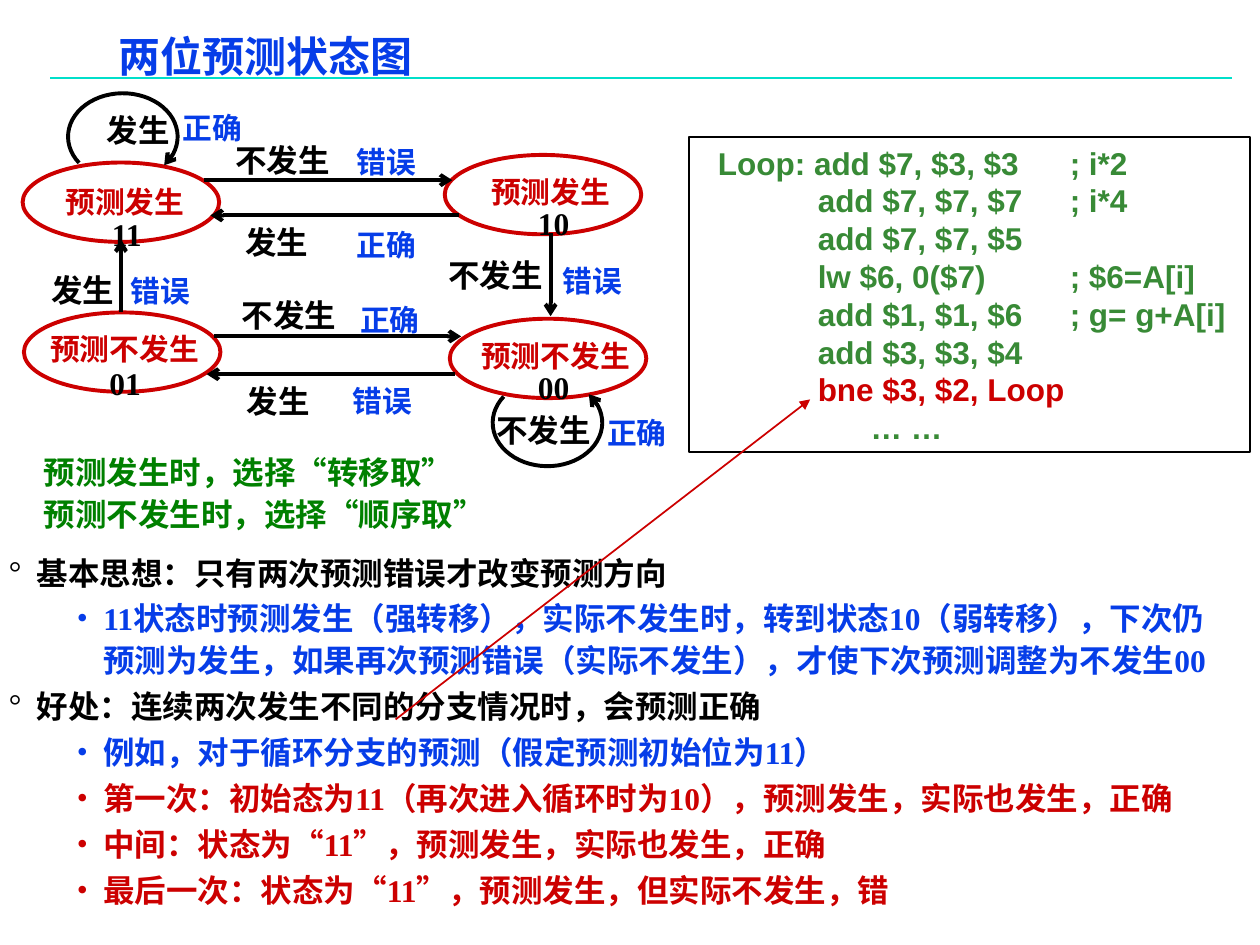
import math
from dataclasses import dataclass

from lxml import etree
from pptx import Presentation
from pptx import util as u
from pptx.dml.color import RGBColor
from pptx.enum import shapes, text
from pptx.oxml.ns import qn

# Grid of 100 columns by 75 rows; every place below is (column, row)
COLUMNS, ROWS = 100, 75
CELL = u.Inches(0.1)
COLORS = {"black": "000000", "blue": "063DE8", "red": "CC0000", "green": "008000",
          "code": "388A36", "rule": "00DFCA"}
SERIF, SANS, CJK = "Times New Roman", "Arial", "Noto Sans CJK SC"
STATE_W, STATE_H = 15.6, 6.3


@dataclass
class State:
    col: float
    row: float
    prediction: str
    name_at: tuple[float, float]
    bits: str
    bits_at: tuple[float, float]


@dataclass
class Transition:
    start: tuple[float, float]
    end: tuple[float, float]
    outcome: str
    outcome_at: tuple[float, float]
    verdict: str
    verdict_at: tuple[float, float]


@dataclass
class SelfLoop:
    center: tuple[float, float]
    side: int  # 1 opens downwards, -1 opens upwards
    outcome: str
    outcome_at: tuple[float, float]
    verdict: str
    verdict_at: tuple[float, float]


@dataclass
class Line:
    words: str
    color: str
    level: int = 0
    tabs: tuple[float, ...] = ()


STATES = [
    State(1.8, 12.9, "预测发生", (4.2, 13.9), "11", (7.9, 16.4)),
    State(35.3, 12.3, "预测发生", (38, 13.1), "10", (41.7, 15.5)),
    State(1.9, 24.8, "预测不发生", (3, 25.6), "01", (7.7, 28.2)),
    State(35.7, 25.3, "预测不发生", (37.2, 26.1), "00", (41.7, 28.5)),
]
TRANSITIONS = [
    Transition((16.2, 14.3), (35.9, 14.3), "不发生", (17.7, 10.5), "错误", (27.3, 10.7)),
    Transition((36.4, 17.1), (16.7, 17.1), "发生", (18.5, 17), "正确", (27.3, 17.3)),
    Transition((9.6, 24.8), (9.6, 19), "发生", (3.1, 20.8), "错误", (9.4, 21)),
    Transition((43.7, 18.5), (43.7, 25.1), "不发生", (34.6, 19.6), "错误", (43.7, 20.2)),
    Transition((17, 26.7), (36.6, 26.7), "不发生", (18.2, 22.8), "正确", (27.6, 23.3)),
    Transition((36.1, 29.7), (16.4, 29.7), "发生", (18.6, 29.6), "错误", (27, 29.7)),
]
LOOPS = [
    SelfLoop((9.75, 10.85), 1, "发生", (7.5, 8.1), "正确", (13.5, 8)),
    SelfLoop((43.45, 33.55), -1, "不发生", (38.4, 31.9), "正确", (47.2, 32.2)),
]
RULES = [Line("预测发生时，选择“转移取”", "green"), Line("预测不发生时，选择“顺序取”", "green")]
CODE_TABS = (10, 30)
CODE = [
    Line("   Loop: add $7, $3, $3\t; i*2", "code", tabs=CODE_TABS[1:]),
    Line("\tadd $7, $7, $7\t; i*4", "code", tabs=CODE_TABS),
    Line("\tadd $7, $7, $5", "code", tabs=CODE_TABS),
    Line("\tlw $6, 0($7)\t; $6=A[i]", "code", tabs=CODE_TABS),
    Line("\tadd $1, $1, $6\t; g= g+A[i]", "code", tabs=CODE_TABS),
    Line("\tadd $3, $3, $4", "code", tabs=CODE_TABS),
    Line("\tbne $3, $2, Loop", "red", tabs=CODE_TABS),
    Line("\t… …", "code", tabs=(14.2,)),
]
NOTES = [
    Line("基本思想：只有两次预测错误才改变预测方向", "black"),
    Line("11状态时预测发生（强转移），实际不发生时，转到状态10（弱转移），下次仍预测为发生，"
         "如果再次预测错误（实际不发生），才使下次预测调整为不发生00", "blue", 1),
    Line("好处：连续两次发生不同的分支情况时，会预测正确", "black"),
    Line("例如，对于循环分支的预测（假定预测初始位为11）", "blue", 1),
    Line("第一次：初始态为11（再次进入循环时为10），预测发生，实际也发生，正确", "red", 1),
    Line("中间：状态为“11”，预测发生，实际也发生，正确", "red", 1),
    Line("最后一次：状态为“11”，预测发生，但实际不发生，错", "red", 1),
]
BULLETS = [("°", 2.2, -2.2), ("•", 7.5, -2.1)]  # sign, margin, indent by level


def cells(*counts: float) -> list[int]:
    return [round(n * CELL) for n in counts]


def rgb(color: str) -> RGBColor:
    return RGBColor.from_string(COLORS[color])


def add_bullet(p_pr, line: Line) -> None:
    sign, margin, indent = BULLETS[line.level]
    p_pr.set("marL", str(cells(margin)[0]))
    p_pr.set("indent", str(cells(indent)[0]))
    bullet_color = etree.SubElement(p_pr, qn("a:buClr"))
    etree.SubElement(bullet_color, qn("a:srgbClr"), val=COLORS[line.color])
    etree.SubElement(p_pr, qn("a:buFont"), typeface=SERIF)
    etree.SubElement(p_pr, qn("a:buChar"), char=sign)


def write(frame, lines: list[Line], *, size=18, font=SERIF, spacing=23, before=0,
          inset=(1, 0.5), bulleted=False) -> None:
    frame.word_wrap = True
    frame.vertical_anchor = text.MSO_ANCHOR.TOP
    frame.margin_left, frame.margin_top = cells(*inset)
    frame.margin_right, frame.margin_bottom = cells(min(inset[0] or 1, 1), inset[1])
    for i, line in enumerate(lines):
        par = frame.paragraphs[0] if i == 0 else frame.add_paragraph()
        p_pr = par._p.get_or_add_pPr()
        if bulleted:
            add_bullet(p_pr, line)
        if line.tabs:
            stops = etree.SubElement(p_pr, qn("a:tabLst"))
            for stop in line.tabs:
                etree.SubElement(stops, qn("a:tab"), pos=str(cells(stop)[0]), algn="l")
        par.alignment = text.PP_ALIGN.LEFT
        par.line_spacing = u.Pt(spacing)
        if i and before:
            par.space_before = u.Pt(before)
        run = par.add_run()
        run.text = line.words
        run.font.size, run.font.bold, run.font.name = u.Pt(size), True, font
        run.font.color.rgb = rgb(line.color)
        etree.SubElement(run._r.get_or_add_rPr(), qn("a:ea"), typeface=CJK)


def text_box(slide, at: tuple, lines: list[Line], **style) -> None:
    write(slide.shapes.add_textbox(*cells(*at)).text_frame, lines, **style)


def label(slide, at: tuple, words: str, color: str, size: float = 18) -> None:
    width = len(words) * (1.5 if words.isdigit() else 2.5) + 2.4
    text_box(slide, (*at, width, 4), [Line(words, color)], size=size, spacing=size * 1.28)


def outline(shape, color: str, weight: float, arrow: str = "") -> None:
    shape.line.color.rgb = rgb(color)
    shape.line.width = u.Pt(weight)
    if arrow:
        etree.SubElement(shape.line._get_or_add_ln(), qn("a:tailEnd"), type=arrow)


def hollow(shape, color: str, weight: float, arrow: str = "") -> None:
    shape.shadow.inherit = False
    shape.fill.background()
    outline(shape, color, weight, arrow)


def connect(slide, start: tuple, end: tuple, color: str, weight: float, arrow: str = "") -> None:
    link = slide.shapes.add_connector(shapes.MSO_CONNECTOR.STRAIGHT, *cells(*start, *end))
    outline(link, color, weight, arrow)
    etree.SubElement(link._element.spPr, qn("a:effectLst"))


def draw_loop(slide, loop: SelfLoop, radii=(4.35, 3.45), sweep=(143, 401), steps=43) -> None:
    angles = [math.radians(sweep[0] + (sweep[1] - sweep[0]) * i / steps) for i in range(steps + 1)]
    points = [cells(loop.center[0] + radii[0] * math.cos(a),
                    loop.center[1] + loop.side * radii[1] * math.sin(a)) for a in angles]
    builder = slide.shapes.build_freeform(*points[0])
    builder.add_line_segments(points[1:], close=False)
    hollow(builder.convert_to_shape(), "black", 2.25, "arrow")


def main() -> None:
    deck = Presentation()
    deck.slide_width, deck.slide_height = cells(COLUMNS, ROWS)
    slide = deck.slides.add_slide(deck.slide_layouts[6])

    # Title, rule and notes
    connect(slide, (4, 6.2), (97.8, 6.2), "rule", 1)
    text_box(slide, (8.7, 2.2, 75.1, 4), [Line("两位预测状态图", "blue")],
             size=24, font=SANS, spacing=28, inset=(0.7, 0.3))
    text_box(slide, (0, 43.3, 98.2, 28.8), NOTES, spacing=24, before=2.2,
             inset=(0.7, 0.3), bulleted=True)

    # State diagram
    for state in STATES:
        oval = slide.shapes.add_shape(shapes.MSO_SHAPE.OVAL,
                                      *cells(state.col, state.row, STATE_W, STATE_H))
        hollow(oval, "red", 2.25)
        label(slide, state.name_at, state.prediction, "red", 17)
    for loop in LOOPS:
        draw_loop(slide, loop)
    for move in TRANSITIONS:
        connect(slide, move.start, move.end, "black", 2.25, "arrow")
    for state in STATES:
        label(slide, state.bits_at, state.bits, "black")
    for move in TRANSITIONS + LOOPS:
        label(slide, move.outcome_at, move.outcome, "black")
        label(slide, move.verdict_at, move.verdict, "blue", 17)
    text_box(slide, (2.5, 35.1, 42.3, 7.6), RULES, font=SANS, spacing=24)

    # Code listing and the pointer to its branch
    listing = slide.shapes.add_shape(shapes.MSO_SHAPE.RECTANGLE, *cells(54.7, 10.9, 44.5, 25))
    hollow(listing, "black", 1)
    write(listing.text_frame, CODE, font=SANS, spacing=21.6, inset=(0.2, 0.5))
    connect(slide, (31.4, 57.1), (64.3, 31.7), "red", 1, "triangle")

    deck.save("out.pptx")


if __name__ == "__main__":
    main()
